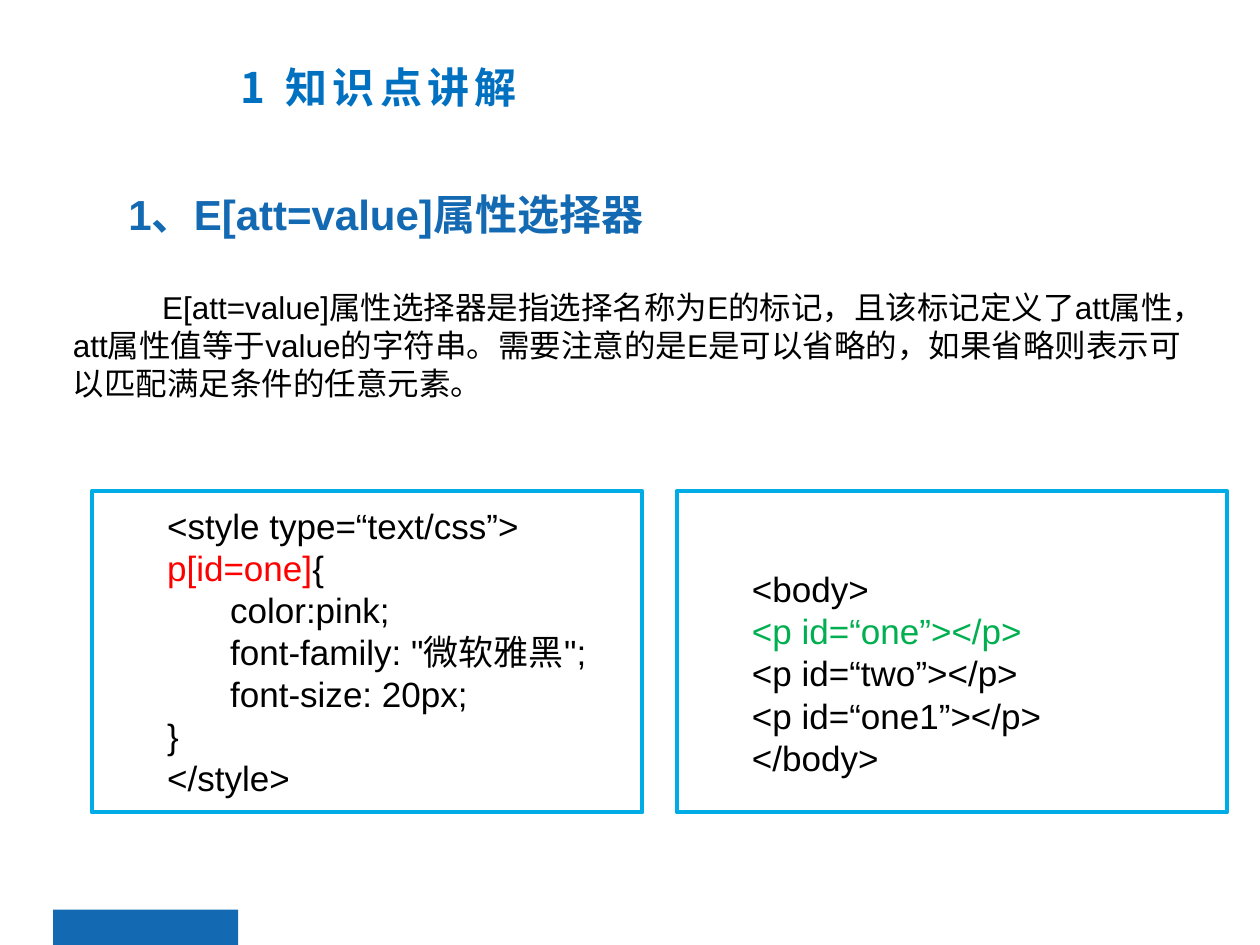
import dataclasses

import pptx
import pptx.dml.color
import pptx.enum.shapes
import pptx.enum.text
import pptx.oxml.ns
import pptx.util
from lxml import etree

Cm = pptx.util.Cm
Pt = pptx.util.Pt
PP_ALIGN = pptx.enum.text.PP_ALIGN
ANCHOR = pptx.enum.text.MSO_ANCHOR


@dataclasses.dataclass(frozen=True)
class Theme:
    latin: str = "Arial"
    cjk: str = "Noto Sans CJK SC"
    title: str = "0070C0"
    accent: str = "1369B2"
    frame: str = "00ACE6"
    text: str = "000000"
    selector: str = "FF0000"
    match: str = "00B050"
    heading_size: int = 24
    body_size: int = 18
    code_size: int = 20
    line_height: float = 1.2


THEME = Theme()
INDENT = 1.27

STYLE_CODE = [
    (0, [("<style type=“text/css”>", THEME.text)]),
    (0, [("p[id=one]", THEME.selector), ("{", THEME.text)]),
    (1, [("color:pink;", THEME.text)]),
    (1, [("font-family: \"微软雅黑\";", THEME.text)]),
    (1, [("font-size: 20px;", THEME.text)]),
    (0, [("}", THEME.text)]),
    (0, [("</style>", THEME.text)]),
]
BODY_CODE = [
    (0, [("<body>", THEME.text)]),
    (0, [("<p id=“one”></p>", THEME.match)]),
    (0, [("<p id=“two”></p>", THEME.text)]),
    (0, [("<p id=“one1”></p>", THEME.text)]),
    (0, [("</body>", THEME.text)]),
]


def rgb(value):
    return pptx.dml.color.RGBColor.from_string(value)


def in_cm(box):
    return [Cm(length) for length in box]


def set_paragraph(paragraph, runs, size, font=THEME.latin, bold=False, indent=0):
    """Fill a paragraph with (text, colour) runs and indent its first line."""
    paragraph.alignment = PP_ALIGN.LEFT
    paragraph.font.name = font
    paragraph.font.size = Pt(size)
    paragraph.font.bold = bold
    properties = paragraph._p.get_or_add_pPr()
    properties.set("marL", "0")
    properties.set("indent", str(int(Cm(indent))))
    for text, color in runs:
        run = paragraph.add_run()
        run.text = text
        run.font.color.rgb = rgb(color)
        east_asian = etree.SubElement(run._r.get_or_add_rPr(), pptx.oxml.ns.qn("a:ea"))
        east_asian.set("typeface", THEME.cjk)


def prepare_frame(frame, anchor=ANCHOR.TOP):
    frame.word_wrap = True
    frame.auto_size = pptx.enum.text.MSO_AUTO_SIZE.NONE
    frame.vertical_anchor = anchor
    return frame


def add_rectangle(slide, box):
    rectangle = slide.shapes.add_shape(
        pptx.enum.shapes.MSO_SHAPE.RECTANGLE, *in_cm(box))
    rectangle.shadow.inherit = False
    return rectangle


def add_footer_bar(slide, box):
    bar = add_rectangle(slide, box)
    bar.fill.solid()
    bar.fill.fore_color.rgb = rgb(THEME.accent)
    bar.line.fill.background()


def place_title(slide, box, text):
    title = slide.shapes.title
    title.left, title.top, title.width, title.height = in_cm(box)
    paragraph = prepare_frame(title.text_frame).paragraphs[0]
    set_paragraph(paragraph, [(text, THEME.title)], THEME.heading_size,
                  font=THEME.cjk, bold=True)
    for run in paragraph.runs:
        run._r.get_or_add_rPr().set("spc", "300")


def add_heading(slide, box, text):
    heading = slide.shapes.add_textbox(*in_cm(box))
    paragraph = prepare_frame(heading.text_frame).paragraphs[0]
    set_paragraph(paragraph, [(text, THEME.accent)], THEME.heading_size,
                  bold=True, indent=INDENT)


def add_explanation(slide, box, text):
    explanation = slide.shapes.add_textbox(*in_cm(box))
    paragraph = prepare_frame(explanation.text_frame).paragraphs[0]
    set_paragraph(paragraph, [(text, THEME.text)], THEME.body_size, indent=1.8)
    paragraph.line_spacing = Pt(THEME.body_size * THEME.line_height)
    paragraph.space_before = Pt(THEME.body_size * 0.2)


def add_code_panel(slide, box, lines, top_inset=0.13):
    panel = add_rectangle(slide, box)
    panel.fill.background()
    panel.line.color.rgb = rgb(THEME.frame)
    panel.line.width = Pt(2.25)
    frame = prepare_frame(panel.text_frame, ANCHOR.MIDDLE)
    frame.margin_top = Cm(top_inset)
    for number, (level, runs) in enumerate(lines):
        paragraph = frame.add_paragraph() if number else frame.paragraphs[0]
        set_paragraph(paragraph, runs, THEME.code_size, indent=INDENT * (1 + level))
        paragraph.line_spacing = Pt(THEME.code_size * THEME.line_height)


def add_code_panels(slide, box):
    """Place the style sheet and the markup side by side."""
    left, top, width, height = box
    gap = 0.69
    panel_width = (width - gap) / 2
    add_code_panel(slide, (left, top, panel_width, height), STYLE_CODE)
    add_code_panel(slide, (left + panel_width + gap, top, panel_width, height),
                   BODY_CODE, top_inset=0.98)


def main():
    presentation = pptx.Presentation()
    presentation.slide_width = Cm(25.4)
    presentation.slide_height = Cm(19.05)
    slide = presentation.slides.add_slide(presentation.slide_layouts[5])

    add_footer_bar(slide, (1.07, 18.34, 3.73, 0.71))
    place_title(slide, (4.6, 1.12, 21.56, 2.01), "1 知识点讲解")
    add_heading(slide, (1.07, 3.68, 18.19, 1.27), "1、E[att=value]属性选择器")
    add_explanation(
        slide, (1.22, 5.69, 22.86, 10.69),
        "E[att=value]属性选择器是指选择名称为E的标记，且该标记定义了att属性，"
        "att属性值等于value的字符串。需要注意的是E是可以省略的，"
        "如果省略则表示可以匹配满足条件的任意元素。")
    add_code_panels(slide, (1.85, 9.9, 22.89, 6.48))
    presentation.save("out.pptx")


if __name__ == "__main__":
    main()
